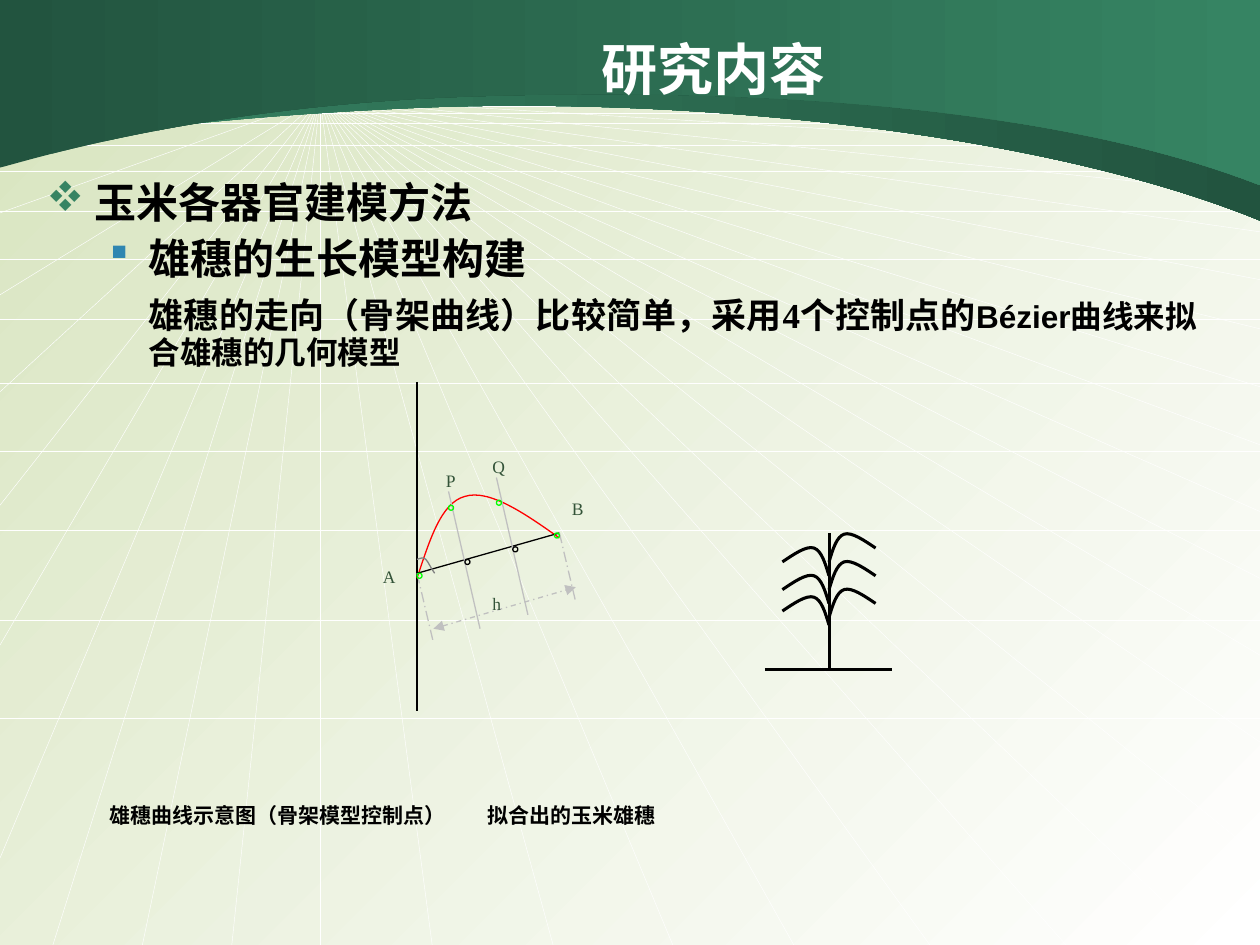
from lxml import etree
from pptx import Presentation
from pptx.dml.color import RGBColor
from pptx.enum import dml, shapes, text
from pptx.oxml.ns import qn
from pptx import util as u

CJK = "Noto Sans CJK SC"
SERIF = "Times New Roman"
HUB = (2.54, 0.78)
RAYS_RIGHT = [5.89, 6.8, 5.2, 4.59, 4.06, 3.53, 3.07, 2.61, 2.22, 1.84, 1.54, 1.23, 1]
RAYS_BOTTOM = [9.6, 8.46, 7.38, 6.3, 5.34, 4.39, 3.43, 2.54, 1.84, 1.13, 0.42]
RAYS_LEFT = [6.81, 5.12, 4.01, 3.11, 2.34, 1.69, 1.16, 0.97, 0.78]
LEVELS = [5.7, 4.92, 4.21, 3.58, 3.04, 2.53, 2.06, 1.68, 1.36, 1.15, 0.98, 0.9, 0.84]
LEAF = [(0, 0), (0.03, -0.1), (0.06, -0.2), (0.12, -0.22),
        (0.18, -0.24), (0.28, -0.17), (0.37, -0.11)]


def inch(v):
    return u.Cm(v * 2.54)


def rgb(code):
    return RGBColor.from_string(code)


def place(sp, x, y, w, h):
    sp.left, sp.top, sp.width, sp.height = map(inch, (x, y, w, h))


def set_gradient(fill, first, last, angle):
    fill.gradient()
    fill.gradient_angle = angle
    for stop, code in zip(fill.gradient_stops, (first, last)):
        stop.color.rgb = rgb(code)


def set_line(sp, color, width):
    sp.line.color.rgb = rgb(color)
    sp.line.width = u.Pt(width)


def add_line(s, start, end, color, width=0.75, dash=None, arrows=False):
    ends = map(inch, (*start, *end))
    cn = s.shapes.add_connector(shapes.MSO_CONNECTOR.STRAIGHT, *ends)
    set_line(cn, color, width)
    if dash:
        cn.line.dash_style = dash
    if arrows:
        for tag in ("a:headEnd", "a:tailEnd"):
            etree.SubElement(cn.line._ln, qn(tag), type="triangle")
    etree.SubElement(cn._element.spPr, qn("a:effectLst"))


def add_outline(s, before, curve, after=()):
    points = [(inch(x), inch(y)) for x, y in (*before, *curve, *after)]
    builder = s.shapes.build_freeform(*points[0])
    builder.add_line_segments(points[1:], close=bool(after))
    sp = builder.convert_to_shape()
    sp.shadow.inherit = False
    segments = list(sp._element.iter(qn("a:lnTo")))[len(before):]
    for i in range(0, len(curve) - 1, 3):
        cubic = etree.Element(qn("a:cubicBezTo"))
        segments[i].addprevious(cubic)
        for segment in segments[i:i + 3]:
            cubic.append(segment[0])
            segment.getparent().remove(segment)
    return sp


def add_curve(s, points, color, width=0.75):
    sp = add_outline(s, [], points)
    sp.fill.background()
    set_line(sp, color, width)


def add_wave(s, points, first, last):
    sp = add_outline(s, [(0, 0)], points, [(10, 0)])
    set_gradient(sp.fill, first, last, 0)
    sp.line.fill.background()


def add_ring(s, kind, x, y, color):
    sp = s.shapes.add_shape(kind, *map(inch, (x, y, 0.04, 0.04)))
    sp.shadow.inherit = False
    sp.fill.background()
    set_line(sp, color, 0.75)


def format_run(r, size, color="000000", font=CJK, bold=True):
    r.font.size = u.Pt(size)
    r.font.bold = bold
    r.font.name = font
    r.font.color.rgb = rgb(color)
    etree.SubElement(r._r.get_or_add_rPr(), qn("a:ea"), typeface=CJK)


def add_label(s, x, y, words):
    sp = s.shapes.add_textbox(*map(inch, (x, y, 0.25, 0.33)))
    tf = sp.text_frame
    tf.word_wrap = True
    tf.text = words
    tf.paragraphs[0].alignment = text.PP_ALIGN.JUSTIFY
    format_run(tf.paragraphs[0].runs[0], 10, "335338", SERIF, False)


def set_paragraph(p, margin, indent, line, before, bullet=None, color=None, tabs=()):
    pPr = p._p.get_or_add_pPr()
    pPr.set("marL", str(inch(margin)))
    pPr.set("indent", str(inch(indent)))
    p.line_spacing = u.Pt(line)
    p.space_before = u.Pt(before)
    p.space_after = u.Pt(0)
    if bullet:
        clr = etree.SubElement(pPr, qn("a:buClr"))
        etree.SubElement(clr, qn("a:srgbClr"), val=color)
        etree.SubElement(pPr, qn("a:buFont"), typeface="Wingdings")
        etree.SubElement(pPr, qn("a:buChar"), char=bullet)
    else:
        etree.SubElement(pPr, qn("a:buNone"))
    if tabs:
        stops = etree.SubElement(pPr, qn("a:tabLst"))
        for tab in tabs:
            etree.SubElement(stops, qn("a:tab"), pos=str(inch(tab)), algn="l")


def draw_background(s, master):
    set_gradient(master.background.fill, "D7E4BE", "FFFFFF", 315)
    placeholders = len(s.shapes)
    grid = s.shapes.add_group_shape()
    ends = [(10, y) for y in RAYS_RIGHT]
    ends += [(x, 7.5) for x in RAYS_BOTTOM]
    ends += [(0, y) for y in RAYS_LEFT]
    for end in ends:
        add_line(grid, HUB, end, "FFFFFF", 0.25)
    for y in LEVELS:
        add_line(grid, (0, y), (10, y), "FFFFFF", 0.25)
    add_wave(s, [(0, 1.19), (0.11, 1.18), (1.33, 0.93), (3.47, 0.85),
                 (5.61, 0.78), (8.31, 1.06), (10, 1.75)], "368463", "22543F")
    add_wave(s, [(0, 1.33), (0.11, 1.31), (1.51, 0.85), (3.64, 0.77),
                 (5.77, 0.69), (8.31, 0.81), (10, 1.47)], "22543F", "368463")
    for sp in list(s.shapes)[placeholders:]:
        master.shapes._spTree.append(sp._element)


def fill_title(s):
    sp = s.shapes.title
    place(sp, 1.62, 0.23, 8.08, 0.62)
    tf = sp.text_frame
    tf.text = "研究内容"
    tf.auto_size = text.MSO_AUTO_SIZE.NONE
    tf.vertical_anchor = text.MSO_ANCHOR.MIDDLE
    tf.paragraphs[0].alignment = text.PP_ALIGN.CENTER
    format_run(tf.paragraphs[0].runs[0], 32, "FFFFFF")


def fill_body(s):
    sp = s.placeholders[1]
    place(sp, 0.27, 1.39, 9.33, 5.82)
    tf = sp.text_frame
    tf.text = ("玉米各器官建模方法\n雄穗的生长模型构建\n"
               "雄穗的走向（骨架曲线）比较简单，采用4个控制点的\n"
               "\t雄穗曲线示意图（骨架模型控制点）\t拟合出的玉米雄穗")
    tf.auto_size = text.MSO_AUTO_SIZE.NONE
    topic, subtopic, detail, caption = tf.paragraphs
    set_paragraph(topic, 0.38, -0.38, 26, 0, "v", "368463")
    set_paragraph(subtopic, 0.81, -0.31, 26, 6, "§", "2F86B1")
    set_paragraph(detail, 0.81, 0, 20, 10)
    set_paragraph(caption, 0, 0, 20, 241, tabs=(1.96, 4.85))
    subtopic.level = detail.level = caption.level = 1
    topic.alignment = caption.alignment = text.PP_ALIGN.LEFT
    subtopic.alignment = detail.alignment = text.PP_ALIGN.JUSTIFY
    detail.add_run().text = "Bézier曲线来拟合雄穗的几何模型"
    for p, size in ((topic, 24), (subtopic, 24), (detail, 20)):
        format_run(p.runs[0], size, font=SERIF)
    format_run(detail.runs[1], 18, font="Arial")
    format_run(caption.runs[0], 12)


def draw_control_points(s):
    a, b, grey = (3.31, 4.55), (4.44, 4.23), "C0C0C0"
    add_line(s, (3.31, 3.03), (3.31, 5.64), "000000")
    add_curve(s, [(3.31, 4.59), (3.41, 4.29), (3.5, 3.99), (3.69, 3.94),
                  (3.88, 3.88), (4.16, 4.07), (4.44, 4.27)], "FF0000")
    add_line(s, a, b, "000000")
    for x, y in (a, b):
        add_line(s, (x, y), (x + 0.13, y + 0.55), grey, dash=dml.MSO_LINE.LONG_DASH_DOT)
    add_line(s, (3.44, 4.99), (4.57, 4.66), grey, dash=dml.MSO_LINE.DASH_DOT, arrows=True)
    add_curve(s, [(3.31, 4.44), (3.34, 4.43), (3.36, 4.42), (3.38, 4.44),
                  (3.4, 4.46), (3.42, 4.51), (3.45, 4.55)], "808080")
    for x, y in ((3.56, 3.9), (3.94, 3.79)):
        add_line(s, (x, y), (x + 0.25, y + 1.09), grey)
    node, oval = shapes.MSO_SHAPE.FLOWCHART_CONNECTOR, shapes.MSO_SHAPE.OVAL
    for kind, x, y, color in ((node, 4.07, 4.34, "000000"), (node, 3.69, 4.44, "000000"),
                              (node, 4.4, 4.23, "00FF00"), (node, *a, "00FF00"),
                              (oval, 3.56, 4.01, "00FF00"), (oval, 3.94, 3.97, "00FF00")):
        add_ring(s, kind, x, y, color)
    for name, x, y in (("Q", 3.81, 3.57), ("P", 3.44, 3.68), ("A", 2.94, 4.44),
                       ("B", 4.44, 3.9), ("h", 3.81, 4.66)):
        add_label(s, x, y, name)


def draw_tassel(s):
    stem = 6.58
    add_line(s, (stem, 4.23), (stem, 5.31), "000000", 1.75)
    for side, bases in ((1, (4.46, 4.68, 4.9)), (-1, (4.57, 4.79, 4.96))):
        for base in bases:
            add_curve(s, [(stem + side * dx, base + dy) for dx, dy in LEAF], "000000", 1.75)
    add_line(s, (6.07, 5.31), (7.08, 5.31), "000000", 1.75)


def main():
    prs = Presentation()
    prs.slide_width, prs.slide_height = inch(10), inch(7.5)
    s = prs.slides.add_slide(prs.slide_layouts[1])
    draw_background(s, prs.slide_master)
    fill_title(s)
    fill_body(s)
    figure = s.shapes.add_group_shape()
    draw_control_points(figure)
    draw_tassel(figure)
    prs.save("out.pptx")


if __name__ == "__main__":
    main()
